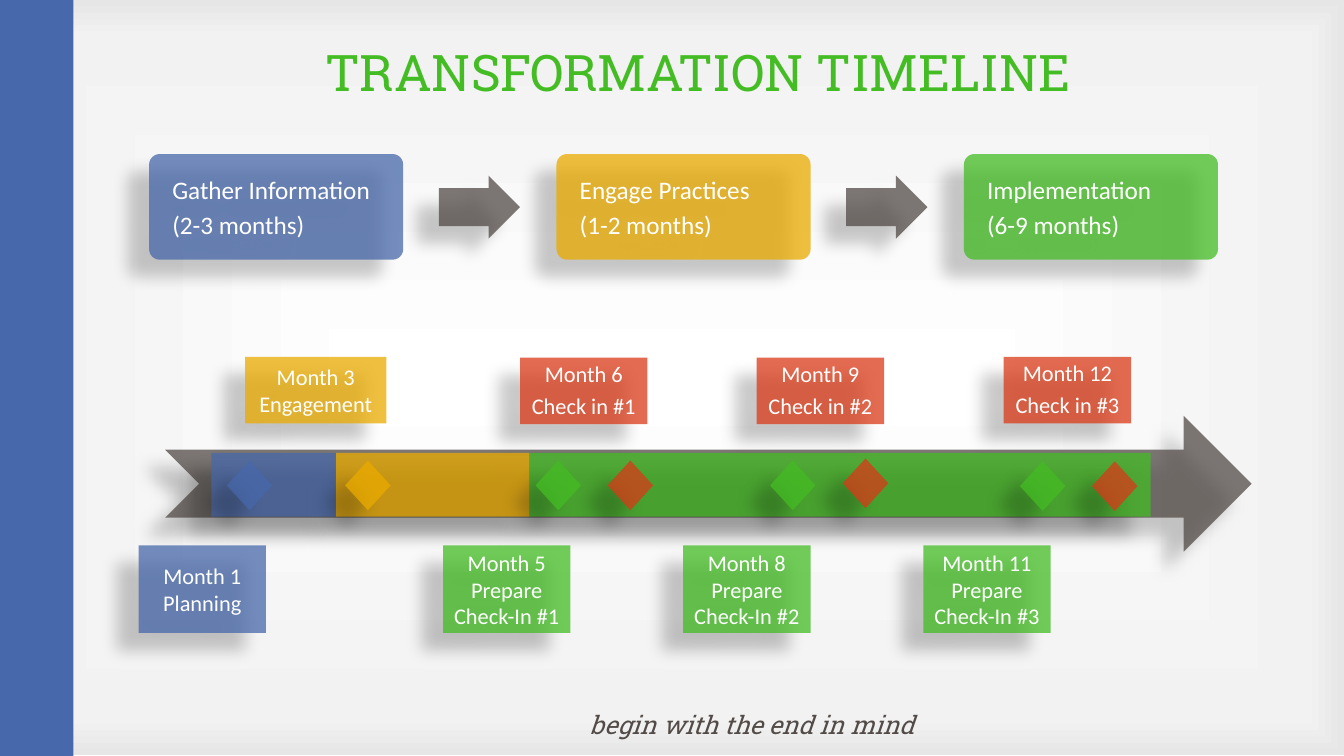
import pptx
import pptx.util
import pptx.dml.color
import pptx.enum.shapes
import pptx.enum.text
import pptx.oxml
import pptx.oxml.ns
from dataclasses import dataclass
from lxml import etree

Pt = pptx.util.Pt
Shape = pptx.enum.shapes.MSO_SHAPE
Align = pptx.enum.text.PP_ALIGN
Anchor = pptx.enum.text.MSO_ANCHOR
qn = pptx.oxml.ns.qn


@dataclass(frozen=True)
class Theme:
    blue: str = "4768AA"
    yellow: str = "EAAB00"
    green: str = "44BC24"
    red: str = "D93A18"
    brown: str = "524B47"
    white: str = "FFFFFF"
    shade: str = "000000"
    backdrop: tuple = ((0, "FFFFFF"), (90, "F2F2F2"), (100, "E7E6E6"))
    heading_font: str = "Roboto Slab"
    body_font: str = "Calibri"
    title_size: int = 36
    body_size: int = 18
    label_size: int = 16


class Builder:
    def __init__(self, page, theme):
        self.page = page
        self.theme = theme

    def plain(self, kind, left, top, width, height, color):
        shape = self.page.shapes.add_shape(kind, Pt(left), Pt(top), Pt(width), Pt(height))
        shape.fill.solid()
        shape.fill.fore_color.rgb = pptx.dml.color.RGBColor.from_string(color)
        shape.line.fill.background()
        shape.shadow.inherit = False
        return shape

    def backdrop(self, width, height):
        shape = self.plain(Shape.RECTANGLE, 0, 0, width, height, self.theme.white)
        stops = "".join(
            f'<a:gs pos="{place * 1000}"><a:srgbClr val="{color}"/></a:gs>'
            for place, color in self.theme.backdrop
        )
        gradient = pptx.oxml.parse_xml(
            f'<a:gradFill {pptx.oxml.ns.nsdecls("a")}><a:gsLst>{stops}</a:gsLst>'
            '<a:path path="shape"><a:fillToRect l="50000" t="50000" r="50000" b="50000"/>'
            "</a:path></a:gradFill>"
        )
        solid = shape.element.spPr.find(qn("a:solidFill"))
        solid.getparent().replace(solid, gradient)

    def glass(self, kind, left, top, width, height, color, adjustments=()):
        shape = self.plain(kind, left, top, width, height, color)
        for index, value in enumerate(adjustments):
            shape.adjustments[index] = value
        properties = shape.element.spPr
        fill_color = properties.find(qn("a:solidFill")).find(qn("a:srgbClr"))
        etree.SubElement(fill_color, qn("a:alpha"), val="75000")
        shadow = etree.SubElement(
            properties.find(qn("a:effectLst")), qn("a:outerShdw"),
            blurRad=str(Pt(11.8)), dist=str(Pt(19.7)), dir=str(141 * 60000),
            algn="ctr", rotWithShape="0",
        )
        shadow_color = etree.SubElement(shadow, qn("a:srgbClr"), val=self.theme.shade)
        etree.SubElement(shadow_color, qn("a:alpha"), val="28000")
        return shape

    def add_text(self, shape, lines, size, color, font, align=Align.LEFT, anchor=Anchor.MIDDLE,
                 spacing=1.0, after=0, inset=None, italic=False):
        frame = shape.text_frame
        frame.word_wrap = True
        frame.vertical_anchor = anchor
        if inset is not None:
            frame.margin_left = frame.margin_right = Pt(inset)
            frame.margin_top = frame.margin_bottom = Pt(inset)
        for index, line in enumerate(lines):
            para = frame.add_paragraph() if index else frame.paragraphs[0]
            para.alignment = align
            para.line_spacing = spacing
            para.space_before = Pt(0)
            para.space_after = Pt(after)
            span = para.add_run()
            span.text = line
            span.font.size = Pt(size)
            span.font.name = font
            span.font.italic = italic
            span.font.color.rgb = pptx.dml.color.RGBColor.from_string(color)

    def title(self, text, left, top, width, height):
        box = self.page.shapes.title
        box.left, box.top, box.width, box.height = Pt(left), Pt(top), Pt(width), Pt(height)
        box.element.getparent().append(box.element)
        self.add_text(box, [text], self.theme.title_size, self.theme.green,
                      self.theme.heading_font, Align.CENTER, spacing=0.9)

    def motto(self, text, left, top, width, height):
        box = self.page.shapes.add_textbox(Pt(left), Pt(top), Pt(width), Pt(height))
        self.add_text(box, [text], self.theme.body_size, self.theme.brown,
                      self.theme.heading_font, anchor=Anchor.BOTTOM, italic=True)

    def phase(self, left, lines, color):
        box = self.glass(Shape.ROUNDED_RECTANGLE, left, 110, 181.5, 75.5, color, [0.1])
        self.add_text(box, lines, self.theme.body_size, self.theme.white, self.theme.body_font,
                      anchor=Anchor.TOP, spacing=0.9, after=6, inset=14.4)

    def callout(self, left, top, width, height, color, lines, pointer, spacing=1.0, after=0):
        box = self.glass(Shape.LINE_CALLOUT_1, left, top, width, height, color, pointer)
        self.add_text(box, lines, self.theme.label_size, self.theme.white, self.theme.body_font,
                      Align.CENTER, spacing=spacing, after=after)


theme = Theme()
deck = pptx.Presentation()
deck.slide_width, deck.slide_height = Pt(960), Pt(540)
page = deck.slides.add_slide(deck.slide_layouts[5])
builder = Builder(page, theme)

builder.backdrop(960, 539.5)
builder.plain(Shape.RECTANGLE, 0, 0, 52.5, 540, theme.blue)
builder.motto("begin with the end in mind", 414, 502.5, 280, 29)
builder.title("TRANSFORMATION TIMELINE", 66, 29, 865.5, 49)

phases = [
    (["Gather Information", "(2-3 months)"], theme.blue),
    (["Engage Practices", "(1-2 months)"], theme.yellow),
    (["Implementation", "(6-9 months)"], theme.green),
]
for index, (lines, color) in enumerate(phases):
    left = 106.5 + 291 * index
    builder.phase(left, lines, color)
    if index < len(phases) - 1:
        builder.glass(Shape.RIGHT_ARROW, left + 207, 125.5, 58, 45, theme.brown, [0.6, 0.5])

builder.glass(Shape.NOTCHED_RIGHT_ARROW, 118, 297, 776, 97, theme.brown)
for left, width, color in [
    (378, 444, theme.green), (240, 138, theme.yellow), (151, 89, theme.blue),
]:
    builder.glass(Shape.RECTANGLE, left, 323.5, width, 45.5, color)

for left, top, color in [
    (162, 329, theme.blue), (246.5, 329, theme.yellow),
    (382.5, 329, theme.green), (434, 329, theme.red),
    (550, 329, theme.green), (602, 327.5, theme.red),
    (728.5, 329.5, theme.green), (780, 329.5, theme.red),
]:
    builder.glass(Shape.DIAMOND, left, top, 32.5, 35.5, color)

above = [1.08, 0.54, 1.85, 0.86]
below = [-0.07, 0.47, -0.64, 0.88]
builder.callout(175, 255, 101, 47.5, theme.yellow, ["Month 3", "Engagement"], above)
builder.callout(99, 389.5, 91, 62.5, theme.blue, ["Month 1", "Planning"], below)
checks = [(6, 371.5, 255.5), (9, 540.5, 255.5), (12, 717, 255)]
for index, (month, left, top) in enumerate(checks):
    number = index + 1
    builder.callout(left, top, 91, 47.5, theme.red,
                    [f"Month {month}", f"Check in #{number}"], above, 0.9, 5.5)
    builder.callout(316.5 + 171.5 * index, 389.5, 91, 62.5, theme.green,
                    [f"Month {month - 1}", f"Prepare Check-In #{number}"], below)

deck.save("out.pptx")
